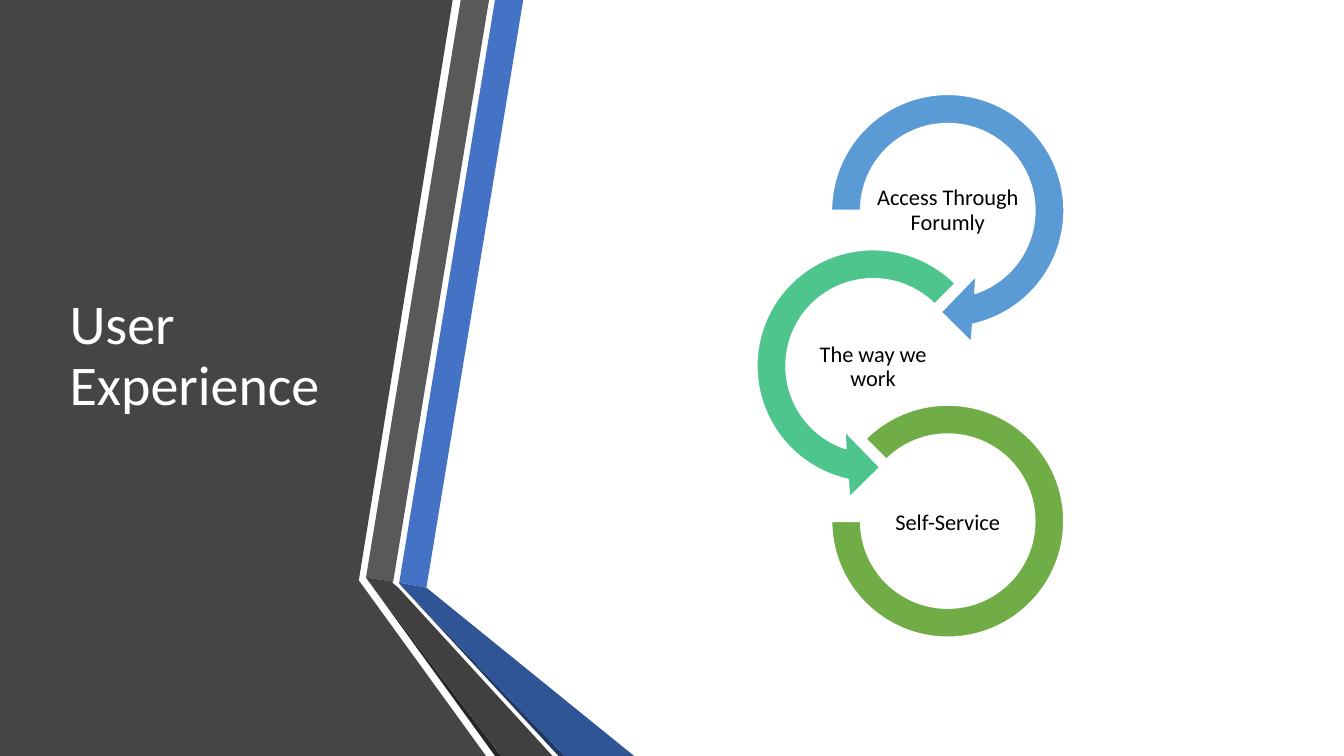
from lxml import etree
from pptx import Presentation
from pptx.dml.color import RGBColor
from pptx.enum.shapes import MSO_SHAPE
from pptx.enum.text import MSO_ANCHOR, PP_ALIGN
from pptx.util import Inches, Pt

MIDDLE, CENTER = MSO_ANCHOR.MIDDLE, PP_ALIGN.CENTER
FONT = "Calibri"
TITLE = "User Experience"

PANEL = ("454545", [(0, 0), (4.49, 0), (3.56, 5.75), (3.56, 5.76), (4.82, 7.5), (0, 7.5)])
RIBBONS = [
    ("4472C4", [(3.96, 5.78), (4.23, 5.83), (5.19, 0), (4.91, 0)]),
    ("595959", [(4.85, 0), (4.57, 0), (3.63, 5.73), (3.9, 5.77)]),
    ("262626", [(3.63, 5.73), (4.91, 7.5), (4.97, 7.5)]),
    ("203864", [(3.96, 5.79), (5.54, 7.5), (5.6, 7.5)]),
    ("2F5597", [(3.96, 5.79), (5.6, 7.5), (6.29, 7.5), (4.23, 5.83), (3.96, 5.78)]),
    ("404040", [(5.48, 7.5), (3.95, 5.83), (3.89, 5.78), (3.9, 5.77), (3.63, 5.73), (4.97, 7.5)]),
]

# label, preset, fill, size, centre x, adjustments
STEPS = [
    ("Access Through Forumly", MSO_SHAPE.CIRCULAR_ARROW, "5B9BD5", 2.69, 9.4,
     (0.1098, 11.42322, 45, 108, 0.125)),
    ("The way we work", MSO_SHAPE.LEFT_CIRCULAR_ARROW, "4DC58D", 2.69, 8.66,
     (0.1098, 11.42322, 63, 189, 0.125)),
    ("Self-Service", MSO_SHAPE.BLOCK_ARC, "70AD47", 2.31, 9.4,
     (135, 108, 0.1274)),
]
FIRST_CENTER_Y, STEP_PITCH = 2.09, 1.54
LABEL_W, LABEL_H, LABEL_INSET = 1.49, 0.75, 0.01


def rgb(value):
    return RGBColor.from_string(value)


def add_polygon(shapes, color, points):
    corners = [(Inches(x), Inches(y)) for x, y in points]
    builder = shapes.build_freeform(*corners[0])
    builder.add_line_segments(corners[1:], close=True)
    sp = builder.convert_to_shape()
    sp.shadow.inherit = False
    sp.fill.solid()
    sp.fill.fore_color.rgb = rgb(color)
    sp.line.fill.background()


def format_text(tf, text, size, color):
    tf.word_wrap = True
    tf.vertical_anchor = MIDDLE
    p = tf.paragraphs[0]
    p.text = text
    p.line_spacing = 0.9
    p.font.name = FONT
    p.font.size = Pt(size)
    p.font.color.rgb = rgb(color)
    return p


def add_ring(shapes, preset, color, size, cx, cy, adjustments):
    sp = shapes.add_shape(preset, Inches(cx - size / 2), Inches(cy - size / 2),
                          Inches(size), Inches(size))
    for i, value in enumerate(adjustments):
        sp.adjustments[i] = value
    sp.shadow.inherit = False
    sp.fill.solid()
    sp.fill.fore_color.rgb = rgb(color)
    sp.line.color.rgb = rgb("FFFFFF")
    sp.line.width = Pt(1.5)


def add_label(shapes, text, cx, cy):
    box = shapes.add_textbox(Inches(cx - LABEL_W / 2), Inches(cy - LABEL_H / 2),
                             Inches(LABEL_W), Inches(LABEL_H))
    tf = box.text_frame
    tf.margin_left = tf.margin_right = Inches(LABEL_INSET)
    tf.margin_top = tf.margin_bottom = Inches(LABEL_INSET)
    format_text(tf, text, 16, "000000").alignment = CENTER


def main():
    prs = Presentation()
    prs.slide_width, prs.slide_height = Inches(13.33), Inches(7.5)
    s = prs.slides.add_slide(prs.slide_layouts[5])

    add_polygon(s.shapes, *PANEL)
    ribbons = s.shapes.add_group_shape()
    for color, points in RIBBONS:
        add_polygon(ribbons.shapes, color, points)

    title = s.shapes.title
    title.left, title.top = Inches(0.59), Inches(0.75)
    title.width, title.height = Inches(3.04), Inches(5.58)
    format_text(title.text_frame, TITLE, 40, "FFFFFF").alignment = PP_ALIGN.LEFT
    ribbons._element.addnext(title._element)  # bring the title in front of the panel

    diagram = s.shapes.add_group_shape()
    for i, (label, preset, color, size, cx, adjustments) in enumerate(STEPS):
        cy = FIRST_CENTER_Y + i * STEP_PITCH
        add_ring(diagram.shapes, preset, color, size, cx, cy, adjustments)
        add_label(diagram.shapes, label, cx, cy + i * 0.01)

    prs.save("out.pptx")


if __name__ == "__main__":
    main()
